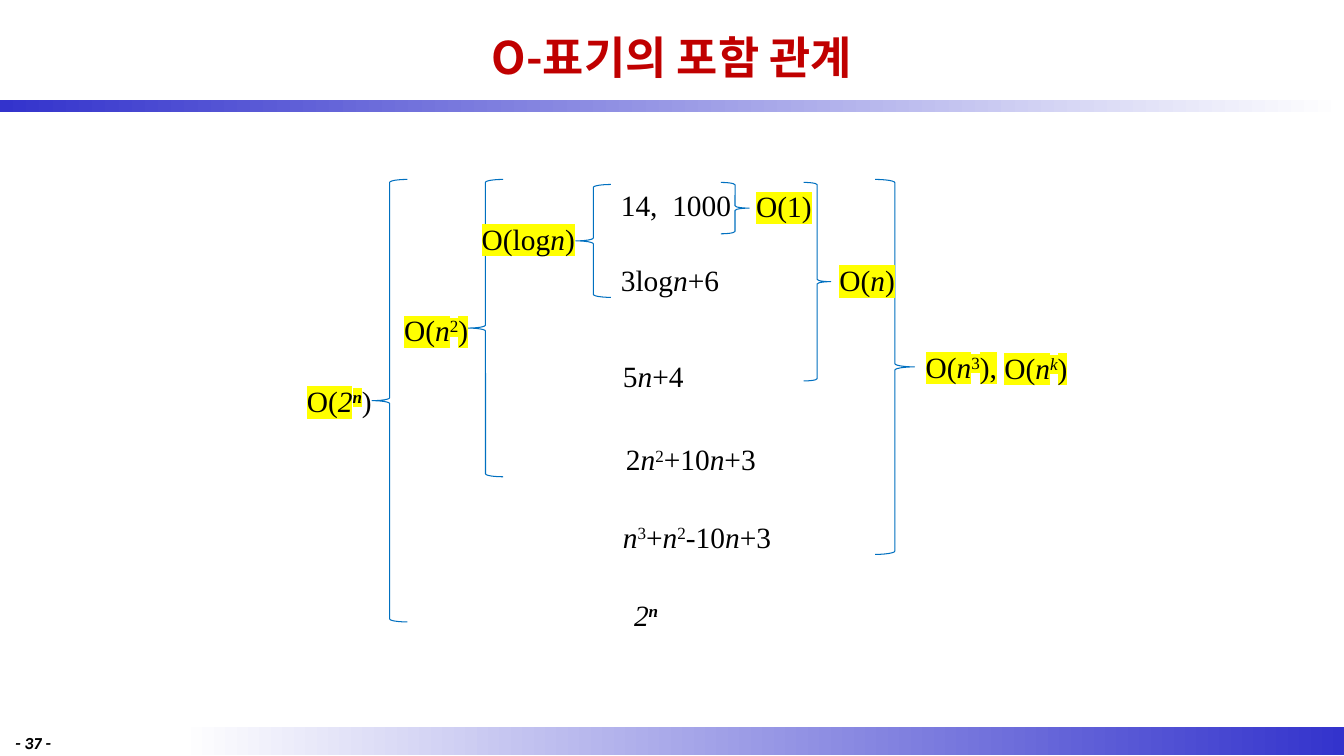
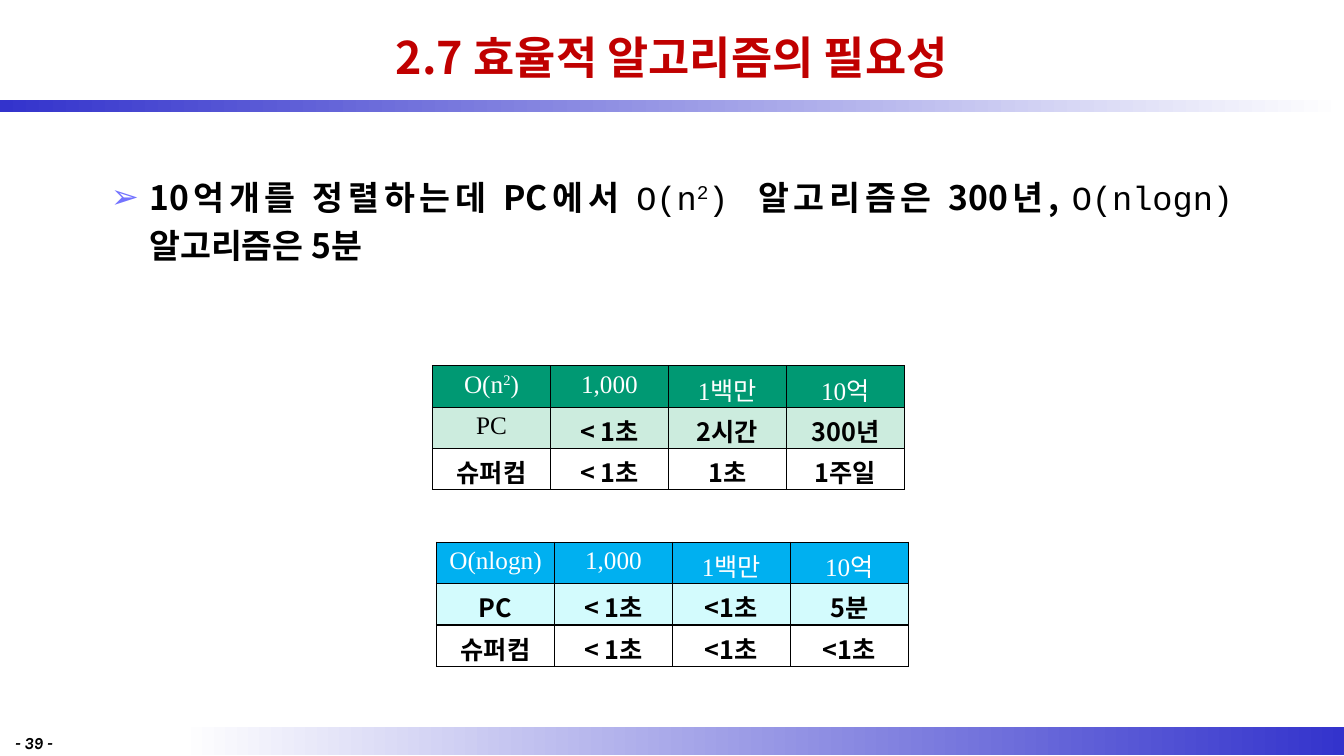
import dataclasses

import lxml.etree
import pptx
import pptx.dml.color
import pptx.enum.shapes
import pptx.enum.text
import pptx.oxml.ns
import pptx.util

Inches = pptx.util.Inches
Pt = pptx.util.Pt
Align = pptx.enum.text.PP_ALIGN
Shape = pptx.enum.shapes.MSO_SHAPE
qn = pptx.oxml.ns.qn


@dataclasses.dataclass(frozen=True)
class Theme:
    black: str = "000000"
    white: str = "FFFFFF"
    title: str = "C00000"
    band: str = "3333CC"
    brace: str = "0070C0"
    highlight: str = "FFFF00"
    bullet: str = "7373FF"
    sans: str = "Noto Sans CJK KR"
    serif: str = "Times New Roman"
    mono: str = "Courier New"
    footer: str = "Karla"
    title_size: int = 32
    body_size: int = 24
    formula_size: int = 21
    table_size: int = 18
    footer_size: int = 12


THEME = Theme()

# Text is a list of (words, marks). Marks: i italic, b bold, ^ superscript,
# m monospaced, - not highlighted.
INCLUSION = {
    "title": "O-표기의 포함 관계",
    "number": "- 37 -",
    # left, top, text
    "formulas": [
        (6.06, 1.81, [("14,  1000", "")]),
        (6.06, 2.55, [("3log", ""), ("n", "i"), ("+6", "")]),
        (6.08, 3.5, [("5", ""), ("n", "i"), ("+4", "")]),
        (6.11, 4.33, [("2", ""), ("n", "i"), ("2", "^"), ("+10", ""), ("n", "i"), ("+3", "")]),
        (6.08, 5.1, [("n", "i"), ("3", "^"), ("+", ""), ("n", "i"), ("2", "^"),
                     ("-10", ""), ("n", "i"), ("+3", "")]),
        (6.19, 5.87, [("2", "i"), ("n", "ib^")]),
    ],
    # side, left, top, width, height
    "braces": [
        (Shape.RIGHT_BRACE, 7.15, 1.81, 0.28, 0.51),
        (Shape.RIGHT_BRACE, 7.97, 1.81, 0.27, 1.97),
        (Shape.RIGHT_BRACE, 8.68, 1.78, 0.39, 3.72),
        (Shape.LEFT_BRACE, 5.71, 1.83, 0.35, 1.12),
        (Shape.LEFT_BRACE, 4.64, 1.78, 0.35, 2.95),
        (Shape.LEFT_BRACE, 3.69, 1.78, 0.35, 4.39),
    ],
    # left, top, width, text
    "classes": [
        (7.36, 1.82, 0.83, [("O(1)", "")]),
        (4.61, 2.14, 1.26, [("O(log", ""), ("n", "i"), (")", "")]),
        (8.22, 2.55, 0.76, [("O(", ""), ("n", "i"), (")", "")]),
        (3.88, 3.05, 0.89, [("O(", ""), ("n", "i"), ("2", "^"), (")", "")]),
        (9.07, 3.41, 0.93, [("O(", ""), ("n", "i"), ("3", "^"), ("),", "")]),
        (9.85, 3.42, 0.85, [("O(", ""), ("n", "i"), ("k", "i^"), (")", "")]),
        (2.89, 3.75, 0.95, [("O(", ""), ("2", "i"), ("n", "ib^"), (")", "-")]),
    ],
}

EFFICIENCY = {
    "title": "2.7 효율적 알고리즘의 필요성",
    "number": "- 39 -",
    "body": [("10억개를 정렬하는데 PC에서 ", ""), ("O(n", "m"), ("2", "m^"), (") ", "m"),
             ("알고리즘은 300년, ", ""), ("O(nlogn) ", "m"), ("알고리즘은 5분", "")],
    "tables": [
        {"at": (4.29, 3.63), "fills": ("009973", "CCECDE", THEME.white),
         "serif_cells": {(1, 0)},
         "rows": [([("O(n", ""), ("2", "^"), (")", "")], "1,000", "1백만", "10억"),
                  ("PC", "< 1초", "2시간", "300년"),
                  ("슈퍼컴", "< 1초", "1초", "1주일")]},
        {"at": (4.33, 5.38), "fills": ("00B0F0", "D3FBFD", THEME.white),
         "serif_cells": set(),
         "rows": [("O(nlogn)", "1,000", "1백만", "10억"),
                  ("PC", "< 1초", "<1초", "5분"),
                  ("슈퍼컴", "< 1초", "<1초", "<1초")]},
    ],
}
COLUMN_WIDTH = 1.17
ROW_HEIGHT = 0.41
LINE_HEIGHT = 0.45


def color(value):
    return pptx.dml.color.RGBColor.from_string(value)


def add_color(parent, tag, value):
    holder = lxml.etree.SubElement(parent, qn(tag))
    lxml.etree.SubElement(holder, qn("a:srgbClr"), val=value)
    return holder


def set_font(para, name, size, ink=THEME.black, bold=False, italic=False):
    """Set the paragraph's font, with the sans face for Korean letters."""
    font = para.font
    font.name, font.size, font.bold, font.italic = name, Pt(size), bold, italic
    font.color.rgb = color(ink)
    latin = para._p.pPr.find(qn("a:defRPr")).find(qn("a:latin"))
    east_asian = latin.makeelement(qn("a:ea"), {"typeface": THEME.sans})
    latin.addnext(east_asian)


def write(para, text, highlight=None):
    """Add marked runs, or one run for a plain string."""
    for words, marks in [(text, "")] if isinstance(text, str) else text:
        span = para.add_run()
        span.text = words
        properties = span._r.get_or_add_rPr()
        if "i" in marks:
            span.font.italic = True
        if "b" in marks:
            span.font.bold = True
        if "^" in marks:
            properties.set("baseline", "30000")
        if highlight and "-" not in marks:
            add_color(properties, "a:highlight", highlight)
        if "m" in marks:
            span.font.name = THEME.mono
            span.font.bold = False


def add_text(page, left, top, width, height, text, name, size,
             align=Align.LEFT, highlight=None, wrap=True, **style):
    box = page.shapes.add_textbox(Inches(left), Inches(top), Inches(width), Inches(height))
    box.text_frame.word_wrap = wrap
    para = box.text_frame.paragraphs[0]
    para.alignment = align
    set_font(para, name, size, **style)
    write(para, text, highlight)


def place(shape, left, top, width, height):
    shape.left, shape.top = Inches(left), Inches(top)
    shape.width, shape.height = Inches(width), Inches(height)


def add_band(page, master, left, top, width, height, start, end):
    """Draw a gradient band and move it behind everything on the master."""
    band = page.shapes.add_shape(Shape.RECTANGLE, Inches(left), Inches(top),
                                 Inches(width), Inches(height))
    band.shadow.inherit = False
    band.line.fill.background()
    band.fill.gradient()
    band.fill.gradient_angle = 0
    for stop, ink in zip(band.fill.gradient_stops, (start, end)):
        stop.color.rgb = color(ink)
    master.shapes.element.insert(2, band.element)


def set_up_master(deck, page):
    master = deck.slide_master
    title, body = master.placeholders[0], master.placeholders[1]
    place(title, 1, 0.05, 11.33, 1.03)
    place(body, 1, 1.62, 11.33, 5.59)
    title.text_frame.vertical_anchor = pptx.enum.text.MSO_ANCHOR.MIDDLE
    add_band(page, master, 0, 0.99, 13.33, 0.12, THEME.band, THEME.white)
    add_band(page, master, 1.78, 7.21, 11.56, 0.28, THEME.white, THEME.band)


def add_page(deck, layout, content):
    page = deck.slides.add_slide(deck.slide_layouts.get_by_name(layout))
    para = page.shapes.title.text_frame.paragraphs[0]
    para.alignment = Align.CENTER
    set_font(para, THEME.sans, THEME.title_size, THEME.title, bold=True)
    write(para, content["title"])
    add_text(page, 0.05, 7.22, 0.95, 0.24, content["number"], THEME.footer,
             THEME.footer_size, bold=True, italic=True)
    return page


def add_brace(page, side, left, top, width, height):
    brace = page.shapes.add_shape(side, Inches(left), Inches(top), Inches(width), Inches(height))
    brace.shadow.inherit = False
    brace.fill.background()
    brace.line.color.rgb = color(THEME.brace)
    brace.line.width = Pt(0.75)


def fill_body(body, text):
    para = body.text_frame.paragraphs[0]
    para.alignment = Align.JUSTIFY
    para.line_spacing, para.space_before, para.space_after = 1.2, Pt(0), Pt(8)
    properties = para._p.get_or_add_pPr()
    properties.set("marL", str(Inches(0.38)))
    properties.set("indent", str(-Inches(0.38)))
    add_color(properties, "a:buClr", THEME.bullet)
    lxml.etree.SubElement(properties, qn("a:buChar"), char="➢")
    set_font(para, THEME.sans, THEME.body_size, bold=True)
    write(para, text)


def add_borders(cell):
    properties = cell._tc.get_or_add_tcPr()
    for side in ("a:lnL", "a:lnR", "a:lnT", "a:lnB"):
        line = add_color(properties, side, THEME.black)
        fill = lxml.etree.SubElement(line, qn("a:solidFill"))
        fill.append(line[0])
        line.set("w", str(Pt(1)))


def add_time_table(page, content):
    rows = content["rows"]
    left, top = content["at"]
    table = page.shapes.add_table(
        len(rows), len(rows[0]), Inches(left), Inches(top),
        Inches(COLUMN_WIDTH * len(rows[0])), Inches(ROW_HEIGHT * len(rows))).table
    table.first_row = table.horz_banding = False
    for r, row in enumerate(rows):
        for c, text in enumerate(row):
            cell = table.cell(r, c)
            add_borders(cell)
            cell.fill.solid()
            cell.fill.fore_color.rgb = color(content["fills"][r])
            para = cell.text_frame.paragraphs[0]
            para.alignment = Align.CENTER
            serif = r == 0 or (r, c) in content["serif_cells"]
            set_font(para, THEME.serif if serif else THEME.sans, THEME.table_size,
                     THEME.white if r == 0 else THEME.black, bold=not serif)
            write(para, text)


def main():
    deck = pptx.Presentation()
    deck.slide_width, deck.slide_height = Inches(13.33), Inches(7.5)

    page = add_page(deck, "Title Only", INCLUSION)
    set_up_master(deck, page)
    for left, top, text in INCLUSION["formulas"]:
        add_text(page, left, top, 2.5, LINE_HEIGHT, text, THEME.serif, THEME.formula_size)
    for brace in INCLUSION["braces"]:
        add_brace(page, *brace)
    for left, top, width, text in INCLUSION["classes"]:
        add_text(page, left, top, width, LINE_HEIGHT, text, THEME.serif, THEME.formula_size,
                 align=Align.CENTER, highlight=THEME.highlight, wrap=False)

    page = add_page(deck, "Title and Content", EFFICIENCY)
    fill_body(page.placeholders[1], EFFICIENCY["body"])
    for table in EFFICIENCY["tables"]:
        add_time_table(page, table)

    deck.save("out.pptx")


if __name__ == "__main__":
    main()
